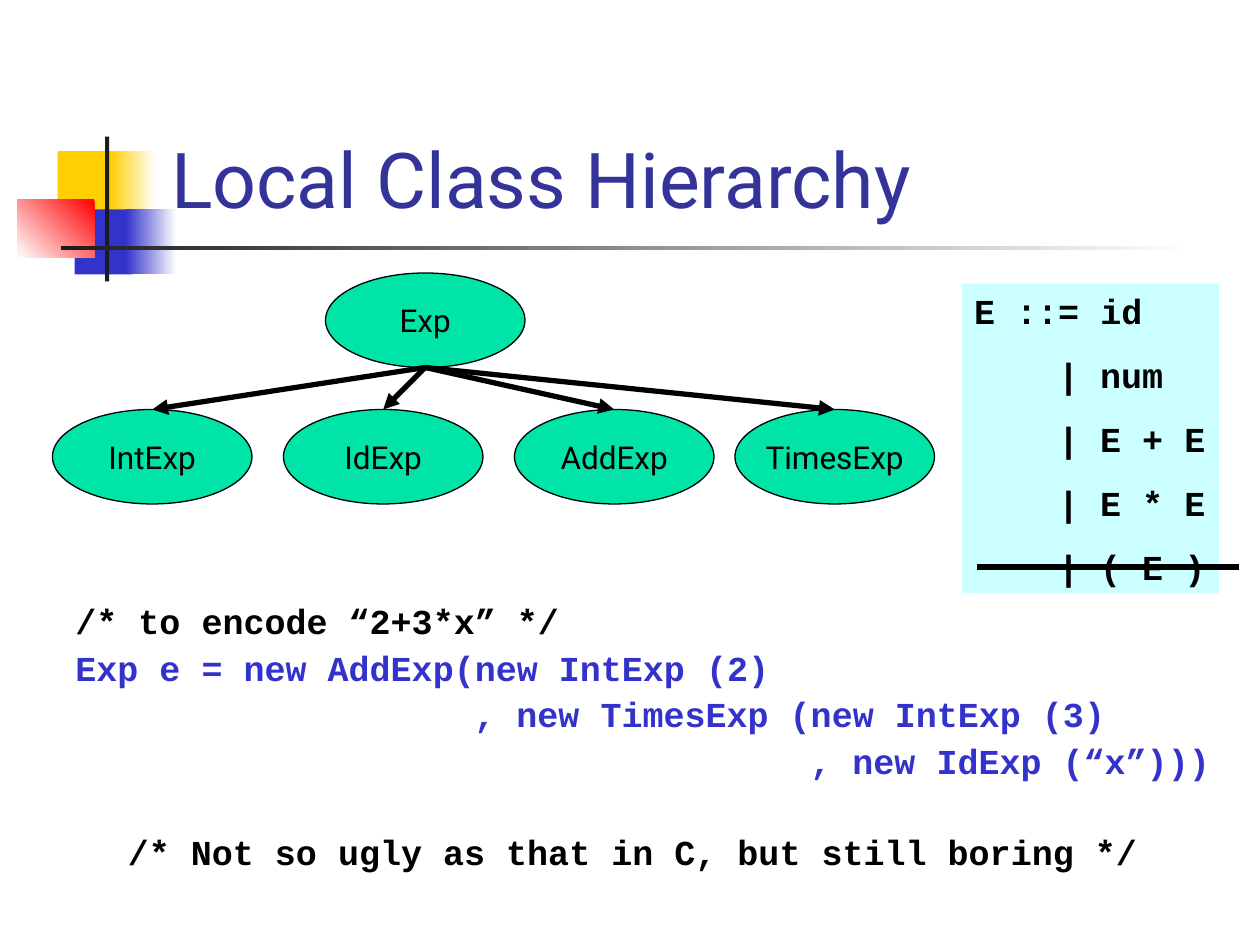
from lxml import etree
from pptx import Presentation
from pptx.dml.color import RGBColor
from pptx.enum.shapes import MSO_CONNECTOR, MSO_SHAPE
from pptx.enum.text import MSO_ANCHOR, MSO_AUTO_SIZE, PP_ALIGN
from pptx.oxml.ns import qn
from pptx.util import Inches, Pt

RECTANGLE, ELLIPSE = MSO_SHAPE.RECTANGLE, MSO_SHAPE.OVAL
STRAIGHT = MSO_CONNECTOR.STRAIGHT
TOP, MIDDLE, BOTTOM = MSO_ANCHOR.TOP, MSO_ANCHOR.MIDDLE, MSO_ANCHOR.BOTTOM
LEFT, CENTER = PP_ALIGN.LEFT, PP_ALIGN.CENTER

BLACK = RGBColor(0x00, 0x00, 0x00)
WHITE = RGBColor(0xFF, 0xFF, 0xFF)
CHARCOAL = RGBColor(0x1C, 0x1C, 0x1C)
YELLOW = RGBColor(0xFF, 0xCF, 0x01)
BLUE = RGBColor(0x33, 0x33, 0xCC)
RED = RGBColor(0xFF, 0x00, 0x00)
INDIGO = RGBColor(0x33, 0x33, 0x99)
GREEN = RGBColor(0x00, 0xE4, 0xA8)
PALE_CYAN = RGBColor(0xCC, 0xFF, 0xFF)

# The slide is a grid of 120 columns by 90 rows, twelve to the inch.
CELL = Inches(1) / 12
CODE_CHARACTER = Pt(12)  # advance of one 20 pt Courier New letter

TITLE_FONT = {"name": "Roboto", "size": Pt(44), "bold": False}
NODE_FONT = {"name": "Roboto", "size": Pt(18), "bold": False}
CODE_FONT = {"name": "Courier New", "size": Pt(20), "bold": True}


def grid(*cells):
    return [round(cell * CELL) for cell in cells]


def write(box, lines, font, align=LEFT, anchor=TOP, wrap=True, **spacing):
    """Fill a box with lines of (text, colour, indent in code characters)."""
    frame = box.text_frame
    frame.auto_size = MSO_AUTO_SIZE.NONE
    frame.word_wrap = wrap
    frame.vertical_anchor = anchor
    for number, (text, colour, indent) in enumerate(lines):
        para = frame.add_paragraph() if number else frame.paragraphs[0]
        para.alignment = align
        for name, value in spacing.items():
            setattr(para, name, value)
        if indent:
            para._p.get_or_add_pPr().set("marL", str(indent * CODE_CHARACTER))
        span = para.add_run()
        span.text = text
        span.font.color.rgb = colour
        for name, value in font.items():
            setattr(span.font, name, value)


deck = Presentation()
deck.slide_width, deck.slide_height = grid(120, 90)
page = deck.slides.add_slide(deck.slide_layouts[5])
shapes = page.shapes

# Corner ornament: place, colours (two make a gradient), gradient angle
ornament = [
    ((5.5, 14.4, 5.8, 6.2), [YELLOW], 0),
    ((10.5, 14.4, 4.3, 6.2), [YELLOW, WHITE], 0),
    ((7.1, 19.95, 5.5, 6.2), [BLUE], 0),
    ((12, 19.95, 4.8, 6.2), [BLUE, WHITE], 0),
    ((1.65, 19, 7.35, 5.5), [RED, WHITE], 225),
    ((10, 13, 0.4, 13.8), [CHARCOAL], 0),
    ((5.8, 23.4, 108, 0.4), [CHARCOAL, WHITE], 0),
]
for place, colours, angle in ornament:
    block = shapes.add_shape(RECTANGLE, *grid(*place))
    block.shadow.inherit = False
    block.line.fill.background()
    if len(colours) == 1:
        block.fill.solid()
        block.fill.fore_color.rgb = colours[0]
    else:
        block.fill.gradient()
        block.fill.gradient_angle = angle
        for stop, colour in zip(block.fill.gradient_stops, colours):
            stop.color.rgb = colour

title = shapes.title
title.left, title.top, title.width, title.height = grid(15.1, 2.75, 102.2, 19.2)
write(title, [("Local Class Hierarchy", INDIGO, 0)], TITLE_FONT, anchor=BOTTOM)
title.element.getparent().append(title.element)  # in front of the ornament

grammar = shapes.add_shape(RECTANGLE, *grid(91.6, 27, 24.5, 29.5))
grammar.shadow.inherit = False
grammar.fill.solid()
grammar.fill.fore_color.rgb = PALE_CYAN
grammar.line.fill.background()
grammar.text_frame.margin_right = 0
rules = [("E ::= id", BLACK, 0)]
rules += [(f"| {rule}", BLACK, 4) for rule in ("num", "E + E", "E * E", "( E )")]
write(grammar, rules, CODE_FONT, space_before=Pt(12.5))

code = shapes.add_textbox(*grid(6, 57, 112, 19))
write(code, [
    ("/* to encode “2+3*x” */", BLACK, 0),
    ("Exp e = new AddExp(new IntExp (2)", BLUE, 0),
    (", new TimesExp (new IntExp (3)", BLUE, 19),
    (", new IdExp (“x”)))", BLUE, 35),
], CODE_FONT, line_spacing=0.9, space_before=Pt(5))

remark = shapes.add_textbox(*grid(11, 79, 102, 6))
write(remark, [("/* Not so ugly as that in C, but still boring */", BLACK, 0)],
      CODE_FONT, line_spacing=0.9, space_before=Pt(5))

# Class tree: name, left column, top row
NODE_WIDTH, NODE_HEIGHT = 19, 9
root = ("Exp", 31, 26)
children = [("IntExp", 5, 39), ("IdExp", 27, 39),
            ("AddExp", 49, 39), ("TimesExp", 70, 39)]
for name, column, row in [root, *children]:
    node = shapes.add_shape(ELLIPSE, *grid(column, row, NODE_WIDTH, NODE_HEIGHT))
    node.shadow.inherit = False
    node.fill.solid()
    node.fill.fore_color.rgb = GREEN
    node.line.color.rgb = BLACK
    node.line.width = Pt(0.75)
    write(node, [(name, BLACK, 0)], NODE_FONT, CENTER, MIDDLE, wrap=False)

# Strike through the last grammar rule, then the arrows from root to children
lines = [((93, 54, 118, 54), False)]
for name, column, row in children:
    start = (root[1] + NODE_WIDTH / 2, root[2] + NODE_HEIGHT)
    lines.append(((*start, column + NODE_WIDTH / 2, row), True))
for ends, has_arrow in lines:
    line = shapes.add_connector(STRAIGHT, *grid(*ends))
    line.line.color.rgb = BLACK
    line.line.width = Pt(3)
    if has_arrow:
        etree.SubElement(line.line._get_or_add_ln(), qn("a:tailEnd"), type="triangle")
    etree.SubElement(line.element.spPr, qn("a:effectLst"))

deck.save("out.pptx")
